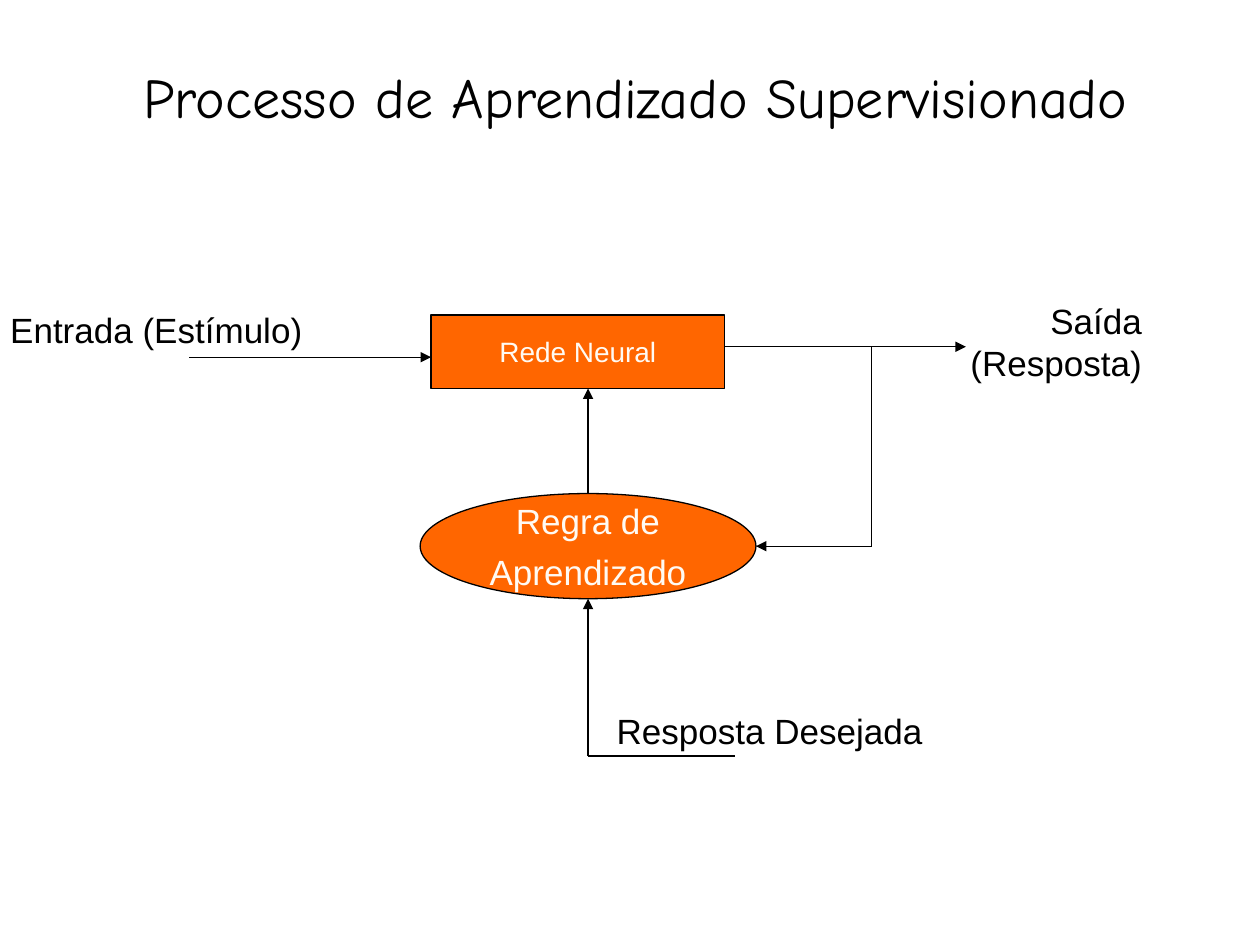
from lxml.etree import SubElement
from pptx import Presentation
from pptx.dml.color import RGBColor
from pptx.enum.shapes import MSO_CONNECTOR as Connector, MSO_SHAPE as Preset
from pptx.enum.text import MSO_ANCHOR as Anchor, MSO_AUTO_SIZE as AutoSize, PP_ALIGN as Align
from pptx.oxml.ns import qn
from pptx.util import Cm, Pt

BLACK, ORANGE, CREAM, WHITE = "000000", "FF6600", "FFFAF3", "FFFFFF"


def color(value):
    """Turn a hex string into a colour."""
    return RGBColor.from_string(value)


def write(frame, lines, size, ink, align, font="Arial"):
    """Write one paragraph per line into a text frame."""
    for index, line in enumerate(lines):
        paragraph = frame.paragraphs[0] if index == 0 else frame.add_paragraph()
        paragraph.alignment = align
        if index:
            paragraph.space_before = Pt(5)
        run = paragraph.add_run()
        run.text = line
        run.font.name = font
        run.font.size = Pt(size)
        run.font.color.rgb = color(ink)


def add_label(slide, text, left, top, width):
    """Add a one-line label that fits its text."""
    label = slide.shapes.add_textbox(Cm(left), Cm(top), Cm(width), Cm(1.11))
    label.text_frame.word_wrap = False
    label.text_frame.auto_size = AutoSize.SHAPE_TO_FIT_TEXT
    write(label.text_frame, [text], 20, BLACK, Align.RIGHT)


def add_node(slide, preset, lines, size, left, top, width, height):
    """Add a filled node with centred text."""
    shape = slide.shapes.add_shape(preset, Cm(left), Cm(top), Cm(width), Cm(height))
    shape.shadow.inherit = False
    shape.fill.solid()
    shape.fill.fore_color.rgb = color(ORANGE)
    shape.line.color.rgb = color(BLACK)
    shape.line.width = Pt(0.75)
    shape.text_frame.word_wrap = False
    shape.text_frame.vertical_anchor = Anchor.MIDDLE
    write(shape.text_frame, lines, size, CREAM, Align.CENTER)


def add_line(slide, start, end, arrow=True):
    """Add a straight line, with an arrowhead at its end if wanted."""
    connector = slide.shapes.add_connector(
        Connector.STRAIGHT, *(Cm(value) for value in (*start, *end)))
    connector.line.color.rgb = color(BLACK)
    connector.line.width = Pt(0.75)
    if arrow:
        SubElement(connector.line._get_or_add_ln(), qn("a:tailEnd"), type="triangle")
    SubElement(connector._element.spPr, qn("a:effectLst"))


def add_title(slide, text, left, top, width, height):
    """Add the slide title at the bottom of its box."""
    title = slide.shapes.add_textbox(Cm(left), Cm(top), Cm(width), Cm(height))
    title.text_frame.word_wrap = True
    title.text_frame.vertical_anchor = Anchor.BOTTOM
    write(title.text_frame, [text], 32, BLACK, Align.CENTER, "Comic Neue")


def add_diagram(slide, left, top):
    """Add the supervised learning loop with its top left corner at the given point."""
    network_left, network_top, network_width, network_height = left + 8.69, top + 0.43, 5.92, 1.48
    rule_left, rule_top, rule_width, rule_height = left + 8.47, top + 4.03, 6.77, 2.12
    network_right = network_left + network_width
    rule_right = rule_left + rule_width
    center = rule_left + rule_width / 2
    rule_middle = rule_top + rule_height / 2
    input_y, output_y, desired_y = top + 1.28, top + 1.07, top + 9.32
    feedback_x = left + 17.57

    add_node(slide, Preset.RECTANGLE, ["Rede Neural"], 16,
             network_left, network_top, network_width, network_height)
    add_node(slide, Preset.OVAL, ["Regra de", "Aprendizado"], 20,
             rule_left, rule_top, rule_width, rule_height)

    add_line(slide, (left + 3.81, input_y), (network_left, input_y))
    add_line(slide, (network_right, output_y), (left + 19.47, output_y))
    add_line(slide, (feedback_x, output_y), (feedback_x, rule_middle), arrow=False)
    add_line(slide, (feedback_x, rule_middle), (rule_right, rule_middle))
    add_line(slide, (center, rule_top), (center, network_top + network_height))
    add_line(slide, (center, desired_y), (center, rule_top + rule_height))
    add_line(slide, (center, desired_y), (left + 14.82, desired_y), arrow=False)

    add_label(slide, "Entrada (Estímulo)", left - 0.05, top + 0.18, 6.4)
    add_label(slide, "Saída (Resposta)", left + 17.27, top, 6)
    add_label(slide, "Resposta Desejada", left + 12.17, top + 8.25, 6.68)


def main():
    """Build the slide and save it."""
    presentation = Presentation()
    presentation.slide_width, presentation.slide_height = Cm(25.4), Cm(19.05)
    slide = presentation.slides.add_slide(presentation.slide_layouts[6])
    slide.background.fill.solid()
    slide.background.fill.fore_color.rgb = color(WHITE)
    add_title(slide, "Processo de Aprendizado Supervisionado", 0.43, 0, 24.77, 2.74)
    add_diagram(slide, 0, 5.92)
    presentation.save("out.pptx")


if __name__ == "__main__":
    main()
